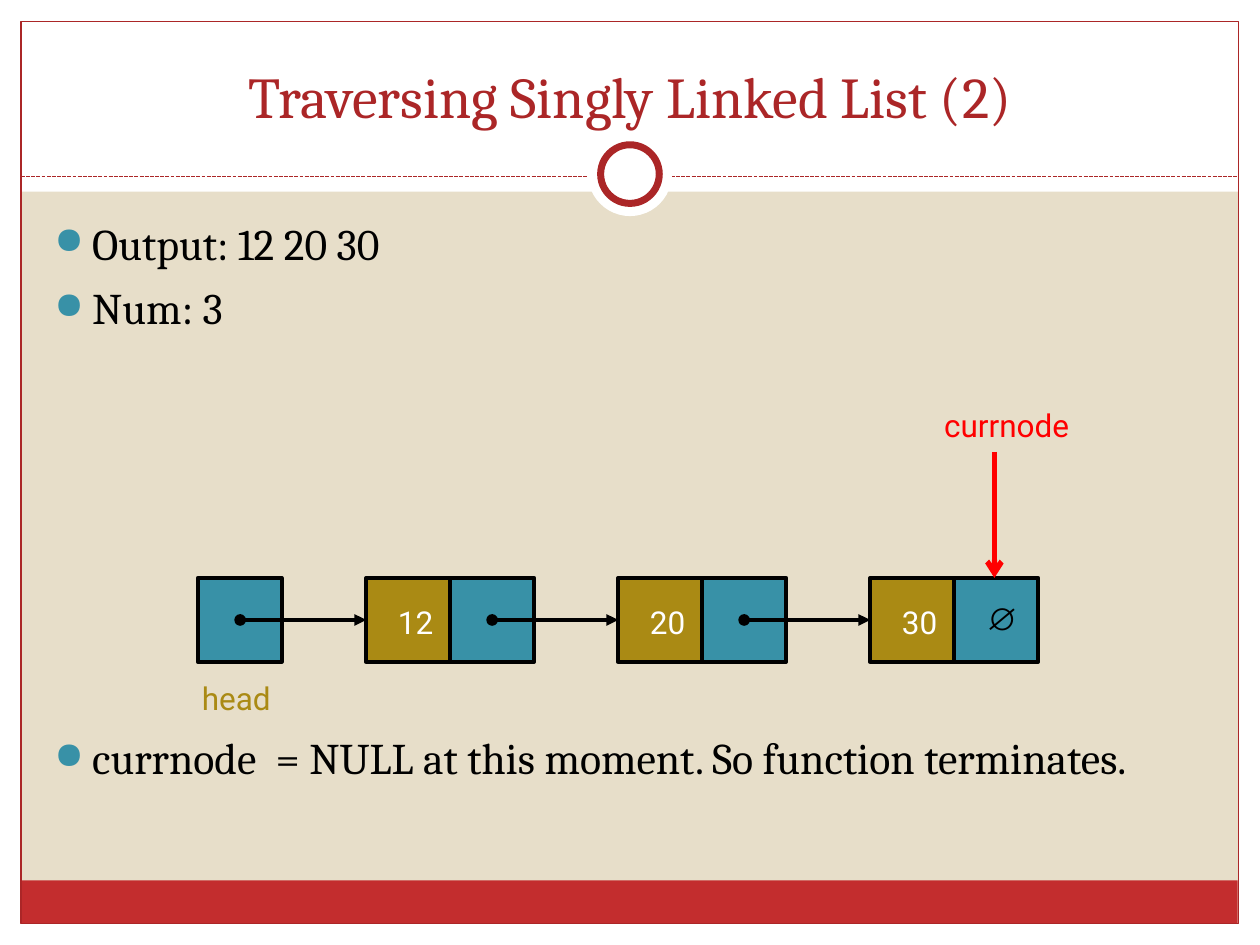
from lxml.etree import SubElement
from pptx import Presentation
from pptx.dml.color import RGBColor
from pptx.enum.dml import MSO_LINE as Dash
from pptx.enum.shapes import MSO_CONNECTOR as Connector, MSO_SHAPE as Shape
from pptx.enum.text import MSO_ANCHOR as Anchor, MSO_AUTO_SIZE as AutoSize, PP_ALIGN as Align
from pptx.oxml.ns import qn
from pptx.util import Pt

WHITE, BLACK, RED = "FFFFFF", "000000", "FF0000"
SAND, CRIMSON, MAROON = "E7DEC9", "C32D2E", "AB2627"
TEAL, GOLD = "3891A7", "AA8A14"


def paint(fill, color):
    fill.solid()
    fill.fore_color.rgb = RGBColor.from_string(color)


def draw(kind, bounds, color=None, outline=None, width=0.75):
    shape = slide.shapes.add_shape(kind, *map(Pt, bounds))
    shape.shadow.inherit = False
    if color:
        paint(shape.fill, color)
    else:
        shape.fill.background()
    if outline:
        paint(shape.line.fill, outline)
        shape.line.width = Pt(width)
    else:
        shape.line.fill.background()
    return shape


deck = Presentation()
deck.slide_width, deck.slide_height = Pt(720), Pt(540)
slide = deck.slides.add_slide(deck.slide_layouts[5])
paint(slide.background.fill, SAND)

for bounds in [(0, 528, 720, 12), (0, 0, 720, 109.5), (0, 0, 12, 540), (708, 0, 12, 540)]:
    draw(Shape.RECTANGLE, bounds, WHITE)
draw(Shape.RECTANGLE, (11.75, 503, 695.5, 24.75), CRIMSON)
draw(Shape.RECTANGLE, (12, 12.25, 695.75, 515.5), None, MAROON)

CELL, NODE_PITCH, ROW_TOP = 48, 144, 330.25
HEAD_LEFT, FIRST_NODE = 113, 209.25
middle = ROW_TOP + CELL / 2
values = ["12", "20", "30"]
node_lefts = [FIRST_NODE + index * NODE_PITCH for index in range(len(values))]

lines = [((12, 100.75), (708, 100.75), MAROON, 0.75, {})]
for left in node_lefts:
    lines.append(((left - 72, middle), (left, middle), BLACK, 2.25,
                  {"headEnd": "oval", "tailEnd": "triangle"}))
lines.append(((568.25, 258.25), (568.25, ROW_TOP), RED, 3, {"tailEnd": "arrow"}))

draw(Shape.RECTANGLE, (HEAD_LEFT, ROW_TOP, CELL, CELL), TEAL, BLACK, 2.25)
data_cells = {}
for value, left in zip(values, node_lefts):
    draw(Shape.RECTANGLE, (left + CELL, ROW_TOP, CELL, CELL), TEAL, BLACK, 2.25)
    data_cells[value] = draw(Shape.RECTANGLE, (left, ROW_TOP, CELL, CELL), GOLD, BLACK, 2.25)

for start, end, color, width, ends in lines:
    line = slide.shapes.add_connector(Connector.STRAIGHT, *map(Pt, start + end))
    paint(line.line.fill, color)
    line.line.width = Pt(width)
    if not ends:
        line.line.dash_style = Dash.SQUARE_DOT
    properties = line.element.spPr
    for tag, head in ends.items():
        SubElement(properties.find(qn("a:ln")), qn(f"a:{tag}"), type=head)
    SubElement(properties, qn("a:effectLst"))

draw(Shape.OVAL, (336, 75.5, 48, 48), WHITE)
draw(Shape.OVAL, (343.25, 82.75, 33.5, 33.5), WHITE, MAROON, 4)

labels = [(value, left + 11, 341.25, 34.5, "Roboto", WHITE)
          for value, left in zip(values, node_lefts)]
labels += [
    ("∅", 556.5, 339, 29, "Arial", BLACK),
    ("head", 106.5, 384.5, 57, "Roboto", GOLD),
    ("currnode", 529.25, 228.25, 92, "Roboto", RED),
]
for text, left, top, width, font_name, color in labels:
    box = slide.shapes.add_textbox(Pt(left), Pt(top), Pt(width), Pt(29))
    frame = box.text_frame
    frame.word_wrap = False
    frame.auto_size = AutoSize.SHAPE_TO_FIT_TEXT
    para = frame.paragraphs[0]
    para.text = text
    para.alignment = Align.CENTER
    para.font.name, para.font.size = font_name, Pt(18)
    paint(para.font.fill, color)
    if text in data_cells:
        slide.shapes.add_group_shape([data_cells[text], box])

body = slide.shapes.add_textbox(Pt(24), Pt(120.25), Pt(669.5), Pt(360))
body.text_frame.word_wrap = True
bullets = [
    ("Output: 12 20 30", 0),
    ("Num: 3", 6.8),
    ("currnode  = NULL at this moment. So function terminates.", 227.2),
]
for index, (text, gap) in enumerate(bullets):
    para = body.text_frame.paragraphs[0] if index == 0 else body.text_frame.add_paragraph()
    para.text = text
    para.space_before = Pt(gap)
    properties = para._p.get_or_add_pPr()
    for name, value in {"marL": Pt(21.6), "indent": Pt(-21.6)}.items():
        properties.set(name, str(int(value)))
    SubElement(SubElement(properties, qn("a:buClr")), qn("a:srgbClr"), val=TEAL)
    SubElement(properties, qn("a:buSzPct"), val="85000")
    SubElement(properties, qn("a:buChar"), char="●")
    para.font.name, para.font.size = "Cambria", Pt(25)
    paint(para.font.fill, BLACK)

title = slide.shapes.title
for name, value in {"left": 24, "top": 18, "width": 672, "height": 60}.items():
    setattr(title, name, Pt(value))
title.text = "Traversing Singly Linked List (2)"
title.text_frame.vertical_anchor = Anchor.BOTTOM
para = title.text_frame.paragraphs[0]
para.alignment = Align.CENTER
para.font.name, para.font.size = "Cambria", Pt(33)
paint(para.font.fill, MAROON)
title.element.getparent().append(title.element)

deck.save("out.pptx")
